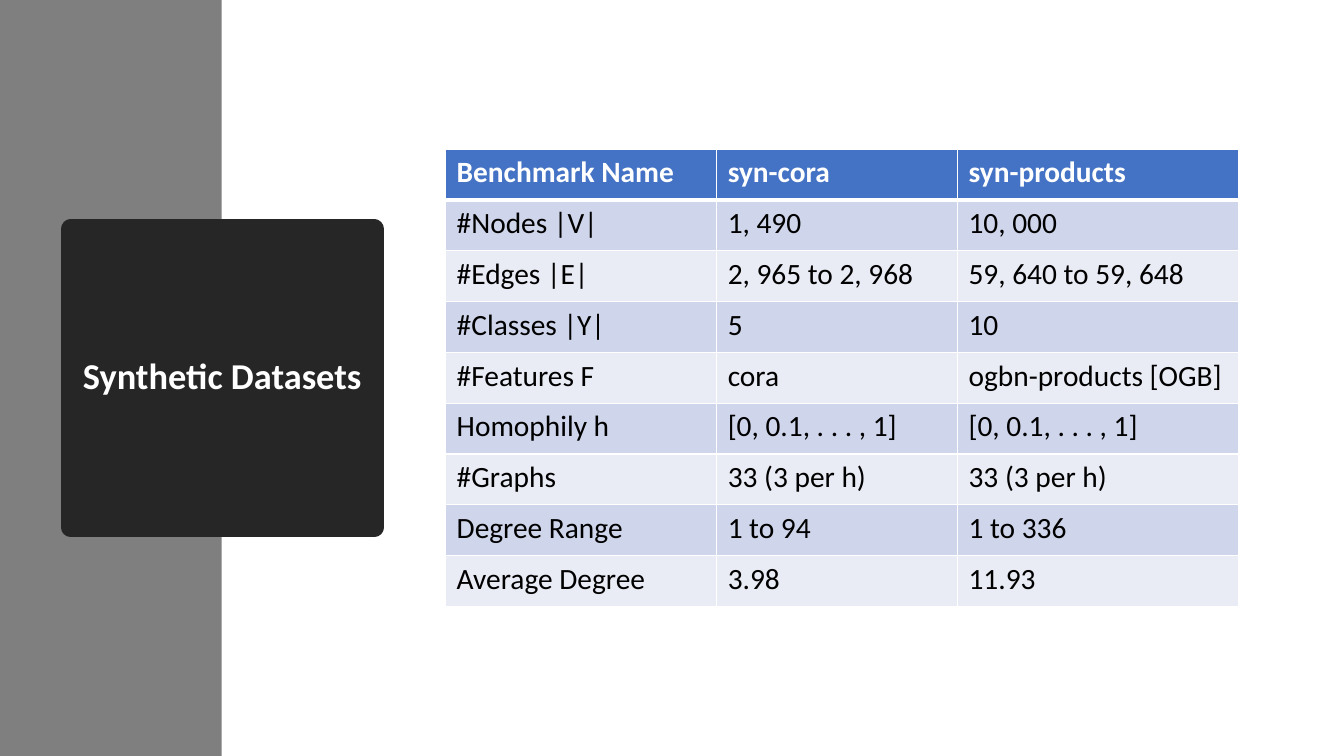
from lxml import etree
from pptx import Presentation, util as u
from pptx.dml.color import RGBColor
from pptx.enum import shapes, text
from pptx.oxml.ns import qn

BENCHMARKS = [
    ("Benchmark Name", "syn-cora", "syn-products"),
    ("#Nodes |V|", "1, 490", "10, 000"),
    ("#Edges |E|", "2, 965 to 2, 968", "59, 640 to 59, 648"),
    ("#Classes |Y|", "5", "10"),
    ("#Features F", "cora", "ogbn-products [OGB]"),
    ("Homophily h", "[0, 0.1, . . . , 1]", "[0, 0.1, . . . , 1]"),
    ("#Graphs", "33 (3 per h)", "33 (3 per h)"),
    ("Degree Range", "1 to 94", "1 to 336"),
    ("Average Degree", "3.98", "11.93"),
]


def colour(hex_value):
    return RGBColor.from_string(hex_value)


def paint(part, hex_value):
    part.fill.solid()
    part.fill.fore_color.rgb = colour(hex_value)


def write(frame, words, size, ink, bold=False, align=text.PP_ALIGN.LEFT, spacing=1.0, after=0):
    frame.word_wrap = True
    paragraph = frame.paragraphs[0]
    paragraph.alignment = align
    paragraph.line_spacing = spacing
    paragraph.space_before = u.Pt(0)
    paragraph.space_after = u.Pt(after)
    run = paragraph.add_run()
    run.text = words
    run.font.name = "Calibri"
    run.font.size = u.Pt(size)
    run.font.bold = bold
    run.font.color.rgb = colour(ink)


class DatasetSlide:
    """Holds the palette and the current slide, and draws each kind of element on it."""

    white, black, grey, charcoal = "FFFFFF", "000000", "7F7F7F", "262626"
    header, bands = "4472C4", ("E9EBF5", "CFD5EA")

    def __init__(self, deck):
        self.slide = deck.slides.add_slide(deck.slide_layouts[5])

    def side_band(self, width, height):
        band = self.slide.shapes.add_shape(shapes.MSO_SHAPE.RECTANGLE, 0, 0, u.Cm(width), height)
        band.shadow.inherit = False
        paint(band, self.grey)
        band.line.fill.background()

    def round_title(self, words, left, top, width, height):
        title = self.slide.shapes.title
        title.left, title.top, title.width, title.height = map(u.Cm, (left, top, width, height))
        properties = title._element.spPr
        outline = etree.Element(qn("a:prstGeom"), prst="ellipse")
        etree.SubElement(outline, qn("a:avLst"))
        properties.find(qn("a:xfrm")).addnext(outline)
        paint(title, self.charcoal)
        title.line.color.rgb = colour(self.charcoal)
        title.line.width = u.Pt(13.75)
        title.text_frame.auto_size = text.MSO_AUTO_SIZE.NONE
        title.text_frame.vertical_anchor = text.MSO_ANCHOR.MIDDLE
        write(title.text_frame, words, 26, self.white, bold=True,
              align=text.PP_ALIGN.CENTER, spacing=0.9, after=6)
        self.slide.shapes._spTree.append(title._element)

    def borders(self, cell, **widths):
        properties = cell._tc.get_or_add_tcPr()
        for side in "LRTB":
            width = u.Pt(widths.get(side, 1))
            edge = etree.SubElement(properties, qn(f"a:ln{side}"), w=str(width))
            fill = etree.SubElement(edge, qn("a:solidFill"))
            etree.SubElement(fill, qn("a:srgbClr"), val=self.white)

    def table(self, rows, left, top, column_widths, row_height):
        grid = self.slide.shapes.add_table(
            len(rows), len(column_widths), u.Cm(left), u.Cm(top),
            u.Cm(sum(column_widths)), u.Cm(row_height * len(rows))).table
        for column, width in zip(grid.columns, column_widths):
            column.width = u.Cm(width)
        for index, values in enumerate(rows):
            grid.rows[index].height = u.Cm(row_height)
            is_header = index == 0
            for cell, value in zip(grid.rows[index].cells, values):
                cell.margin_left = cell.margin_right = u.Cm(0.28)
                cell.margin_top = cell.margin_bottom = u.Cm(0.14)
                self.borders(cell, T=3 if index == 1 else 1, B=3 if is_header else 1)
                paint(cell, self.header if is_header else self.bands[index % 2])
                write(cell.text_frame, value, 21, self.white if is_header else self.black,
                      bold=is_header)


def main():
    deck = Presentation()
    deck.slide_width, deck.slide_height = u.Cm(33.87), u.Cm(19.05)
    page = DatasetSlide(deck)
    page.side_band(5.59, deck.slide_height)
    page.round_title("Synthetic Datasets", 1.78, 5.77, 7.65, 7.52)
    page.table(BENCHMARKS, 11.23, 3.76, (6.83, 6.07, 7.09), 1.28)
    deck.save("out.pptx")


if __name__ == "__main__":
    main()
